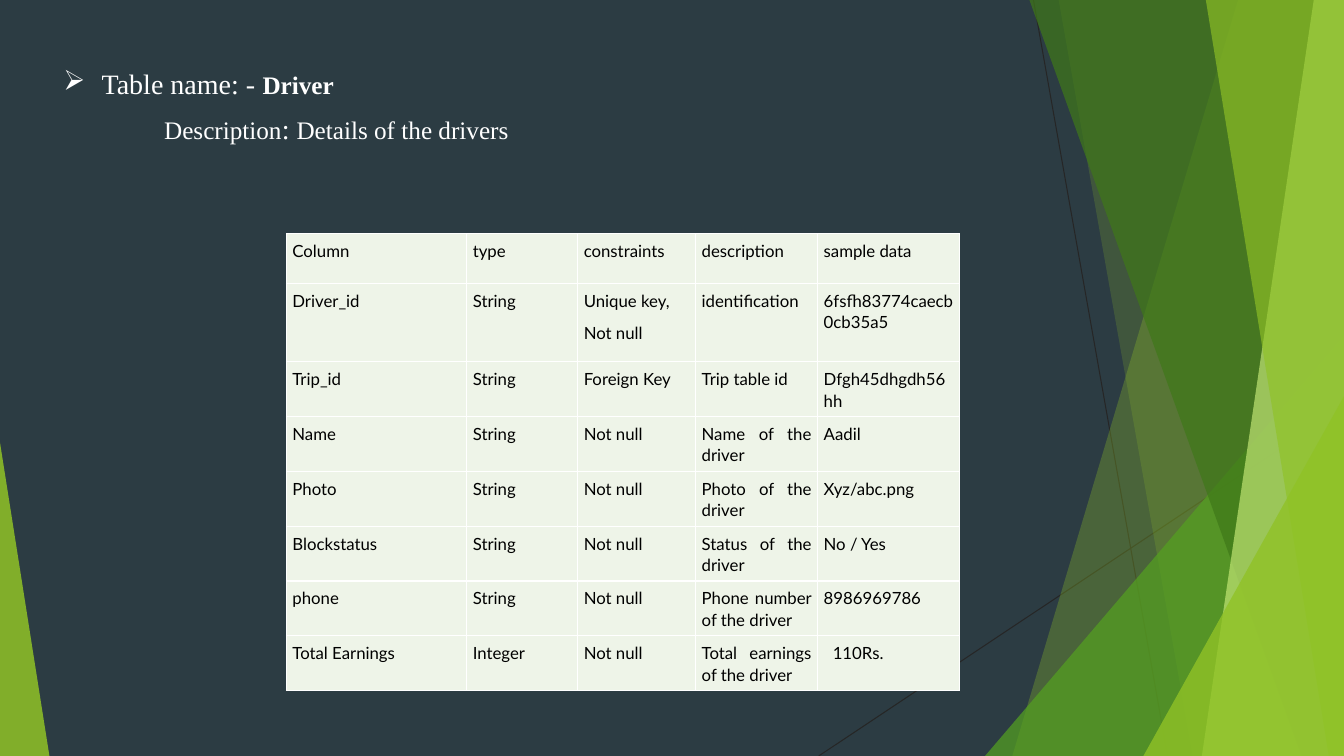
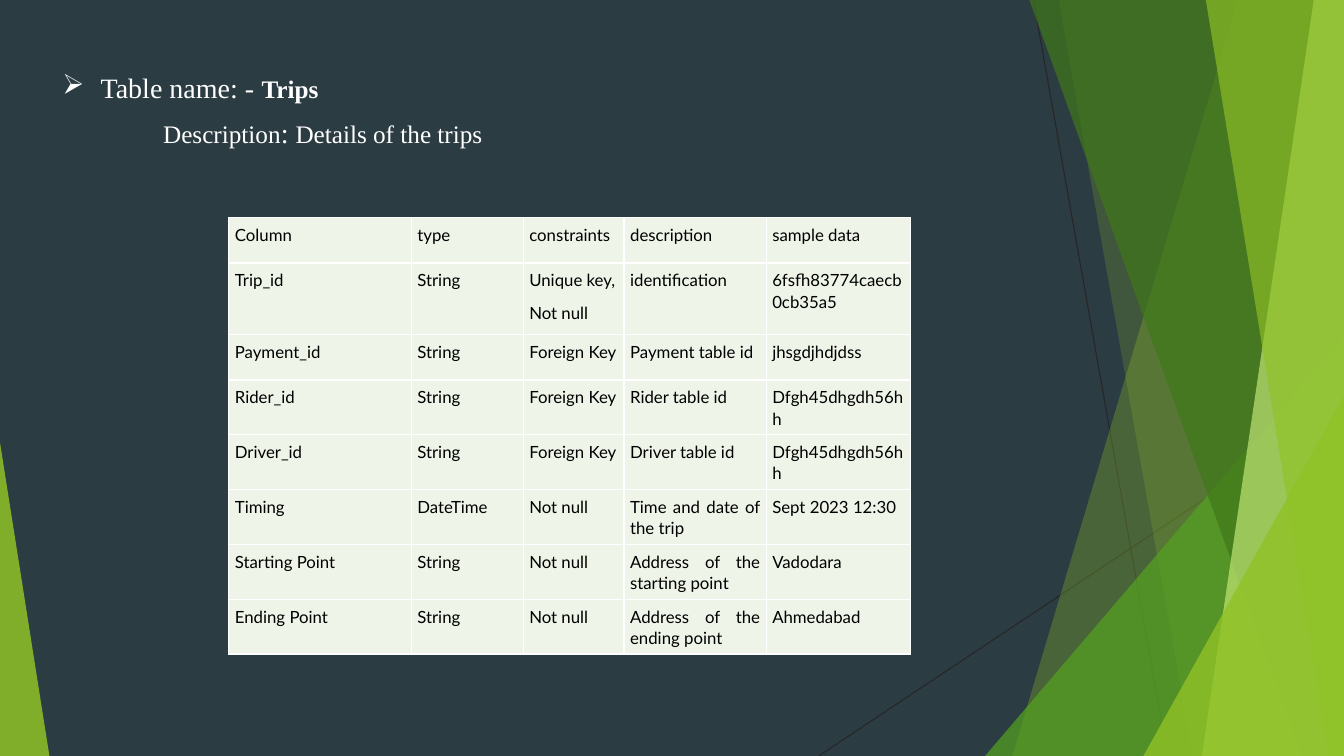
from lxml import etree
from pptx import Presentation
from pptx.dml.color import RGBColor
from pptx.enum.shapes import MSO_CONNECTOR, MSO_SHAPE
from pptx.enum.text import MSO_AUTO_SIZE, PP_ALIGN
from pptx.oxml import parse_xml
from pptx.oxml.ns import nsdecls, qn
from pptx.util import Inches, Pt

SLATE = RGBColor(0x2C, 0x3C, 0x43)
LIME = RGBColor(0x90, 0xC2, 0x26)
GREEN = RGBColor(0x54, 0xA0, 0x21)
FOREST = RGBColor(0x3F, 0x78, 0x19)
PALE_LIME = RGBColor(0xC0, 0xE4, 0x74)
CHARCOAL = RGBColor(0x26, 0x26, 0x26)
CELL_TINT = RGBColor(0xEE, 0xF4, 0xE8)
WHITE = RGBColor(0xFF, 0xFF, 0xFF)
BLACK = RGBColor(0, 0, 0)

WIDTH, HEIGHT = 13.33, 7.5
HEADINGS = ("Column", "type", "constraints", "description", "sample data")
KEY = "Unique key,\nNot null"
SAMPLE_INDENT = 0.09


def write(paragraph, *runs, font, color, size, spacing, before=0, after=0,
          margin=0, hanging=0, bullet=None):
    """Fill a paragraph with runs, each a text or a (text, size, bold) tuple."""
    properties = paragraph._p.get_or_add_pPr()
    properties.set("marL", str(Inches(margin)))
    properties.set("indent", str(Inches(-hanging)))
    if bullet:
        etree.SubElement(properties, qn("a:buChar")).set("char", bullet)
    paragraph.alignment = PP_ALIGN.JUSTIFY
    paragraph.line_spacing = spacing
    paragraph.space_before, paragraph.space_after = Pt(before), Pt(after)
    for part in runs:
        text, points, bold = (part, size, False) if isinstance(part, str) else part
        run = paragraph.add_run()
        run.text = text
        run.font.name, run.font.size, run.font.bold = font, Pt(points), bold
        run.font.color.rgb = color


class Deck:
    heading_style = dict(font="Times New Roman", color=WHITE, size=18, spacing=1.13)
    cell_style = dict(font="Lato", color=BLACK, size=12, spacing=1.06, after=8)

    def __init__(self):
        self.presentation = Presentation()
        self.presentation.slide_width = Inches(WIDTH)
        self.presentation.slide_height = Inches(HEIGHT)
        backdrop = self.presentation.slide_master.background.fill
        backdrop.solid()
        backdrop.fore_color.rgb = SLATE
        self.slide = None

    def new_slide(self):
        self.slide = self.presentation.slides.add_slide(
            self.presentation.slide_layouts[6])
        self.hairline(10.25, 0, 11.58, HEIGHT)
        self.hairline(WIDTH, 4.03, 8.12, HEIGHT)
        self.band(12.28, 10.04, LIME, 30)
        self.band(10.5, 11.83, LIME, 20)
        self.triangle(9.77, 3.33, 3.56, 1, GREEN, 72)
        self.band(10.21, 12.91, FOREST, 70)
        self.band(13.03, 11.92, PALE_LIME, 70)
        self.band(11.96, 13.18, LIME, 65)
        self.triangle(11.34, 3.93, 1.99, 1, LIME, 80)
        self.triangle(0, 4.39, 0.49, 0, LIME, 85)

    def hairline(self, x1, y1, x2, y2):
        line = self.slide.shapes.add_connector(
            MSO_CONNECTOR.STRAIGHT, Inches(x1), Inches(y1), Inches(x2), Inches(y2))
        line.line.color.rgb = CHARCOAL
        line.line.width = Pt(0.75)
        etree.SubElement(line._element.spPr, qn("a:effectLst"))

    def tint(self, shape, color, opacity):
        """Give a shape a see-through fill, opacity in percent, and no outline."""
        shape.shadow.inherit = False
        shape.line.fill.background()
        shape.fill.solid()
        shape.fill.fore_color.rgb = color
        rgb = shape._element.spPr.find(".//" + qn("a:srgbClr"))
        etree.SubElement(rgb, qn("a:alpha")).set("val", str(opacity * 1000))

    def band(self, top_x, bottom_x, color, opacity):
        """Fill from a slanted left edge to the right side of the slide."""
        outline = self.slide.shapes.build_freeform(Inches(top_x), 0)
        corners = ((WIDTH, 0), (WIDTH, HEIGHT), (bottom_x, HEIGHT))
        outline.add_line_segments([(Inches(x), Inches(y)) for x, y in corners])
        self.tint(outline.convert_to_shape(), color, opacity)

    def triangle(self, left, top, width, apex, color, opacity):
        """Stand a triangle on the bottom edge, apex at 0 (left) to 1 (right)."""
        shape = self.slide.shapes.add_shape(
            MSO_SHAPE.ISOSCELES_TRIANGLE, Inches(left), Inches(top),
            Inches(width), Inches(HEIGHT - top))
        shape.adjustments[0] = apex
        self.tint(shape, color, opacity)

    def heading(self, left, top, table_name, details):
        frame = self.slide.shapes.add_textbox(
            Inches(left), Inches(top), Inches(6.67), Inches(0.9)).text_frame
        frame.word_wrap = True
        frame.auto_size = MSO_AUTO_SIZE.SHAPE_TO_FIT_TEXT
        write(frame.paragraphs[0], ("Table name: - ", 20, False),
              (table_name, 18, True), margin=0.38, hanging=0.38, bullet="➢",
              **self.heading_style)
        write(frame.add_paragraph(), "Description", (": ", 20, False), details,
              margin=1, before=5, after=8, **self.heading_style)

    def cell(self, cell, text, margin=0):
        cell.margin_left = cell.margin_right = Inches(0.06)
        cell.margin_top = cell.margin_bottom = Inches(0.06)
        properties = cell._tc.get_or_add_tcPr()
        for side in ("lnL", "lnR", "lnT", "lnB"):
            properties.append(parse_xml(
                f'<a:{side} {nsdecls("a")} w="{Pt(1)}"><a:solidFill>'
                f'<a:srgbClr val="{WHITE}"/></a:solidFill></a:{side}>'))
        cell.fill.solid()
        cell.fill.fore_color.rgb = CELL_TINT
        frame = cell.text_frame
        for number, line in enumerate(text.split("\n")):
            paragraph = frame.add_paragraph() if number else frame.paragraphs[0]
            write(paragraph, line, margin=margin, **self.cell_style)

    def table(self, left, top, widths, heights, fields, indents=None):
        """Draw the field list; indents maps (row, column) to a left indent."""
        rows = (HEADINGS, *fields)
        table = self.slide.shapes.add_table(
            len(rows), len(widths), Inches(left), Inches(top),
            Inches(sum(widths)), Inches(sum(heights))).table
        table.first_row = table.horz_banding = False
        for column, width in zip(table.columns, widths):
            column.width = Inches(width)
        for row, height in zip(table.rows, heights):
            row.height = Inches(height)
        for r, row in enumerate(rows):
            for c, text in enumerate(row):
                self.cell(table.cell(r, c), text, (indents or {}).get((r, c), 0))


def main():
    deck = Deck()

    deck.new_slide()
    deck.heading(0.53, 0.57, "Driver", "Details of the drivers")
    driver_fields = (
        ("Driver_id", "String", KEY, "identification", "6fsfh83774caecb0cb35a5"),
        ("Trip_id", "String", "Foreign Key", "Trip table id", "Dfgh45dhgdh56hh"),
        ("Name", "String", "Not null", "Name of the driver", "Aadil"),
        ("Photo", "String", "Not null", "Photo of the driver", "Xyz/abc.png"),
        ("Blockstatus", "String", "Not null", "Status of the driver", "No / Yes"),
        ("phone", "String", "Not null", "Phone number of the driver", "8986969786"),
        ("Total Earnings", "Integer", "Not null", "Total earnings of the driver",
         "110Rs."),
    )
    deck.table(2.84, 2.32, (1.79, 1.1, 1.17, 1.21, 1.41),
               (0.49, 0.78, *[0.49] * 6), driver_fields,
               indents={(len(driver_fields), 4): SAMPLE_INDENT})

    deck.new_slide()
    deck.heading(0.52, 0.61, "Trips", "Details of the trips")
    trip_fields = (
        ("Trip_id", "String", KEY, "identification", "6fsfh83774caecb0cb35a5"),
        ("Payment_id", "String", "Foreign Key", "Payment table id", "jhsgdjhdjdss"),
        ("Rider_id", "String", "Foreign Key", "Rider table id", "Dfgh45dhgdh56hh"),
        ("Driver_id", "String", "Foreign Key", "Driver table id", "Dfgh45dhgdh56hh"),
        ("Timing", "DateTime", "Not null", "Time and date of the trip",
         "Sept 2023 12:30"),
        ("Starting Point", "String", "Not null", "Address of the starting point",
         "Vadodara"),
        ("Ending Point", "String", "Not null", "Address of the ending point",
         "Ahmedabad"),
    )
    deck.table(2.27, 2.16, (1.81, 1.11, 1, 1.41, 1.43),
               (0.45, 0.71, *[0.45] * 3, *[0.46] * 3), trip_fields)

    deck.presentation.save("out.pptx")


if __name__ == "__main__":
    main()
